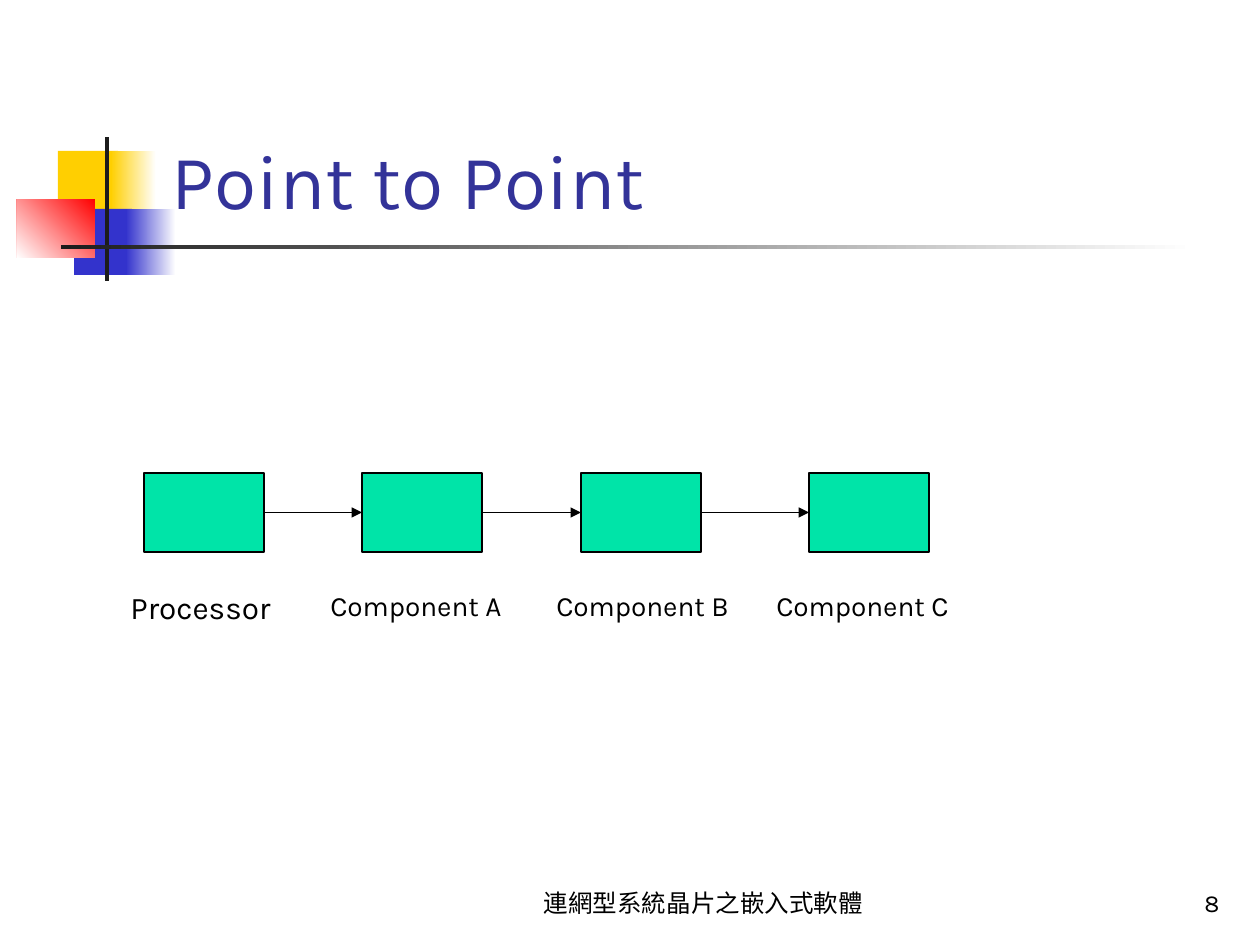
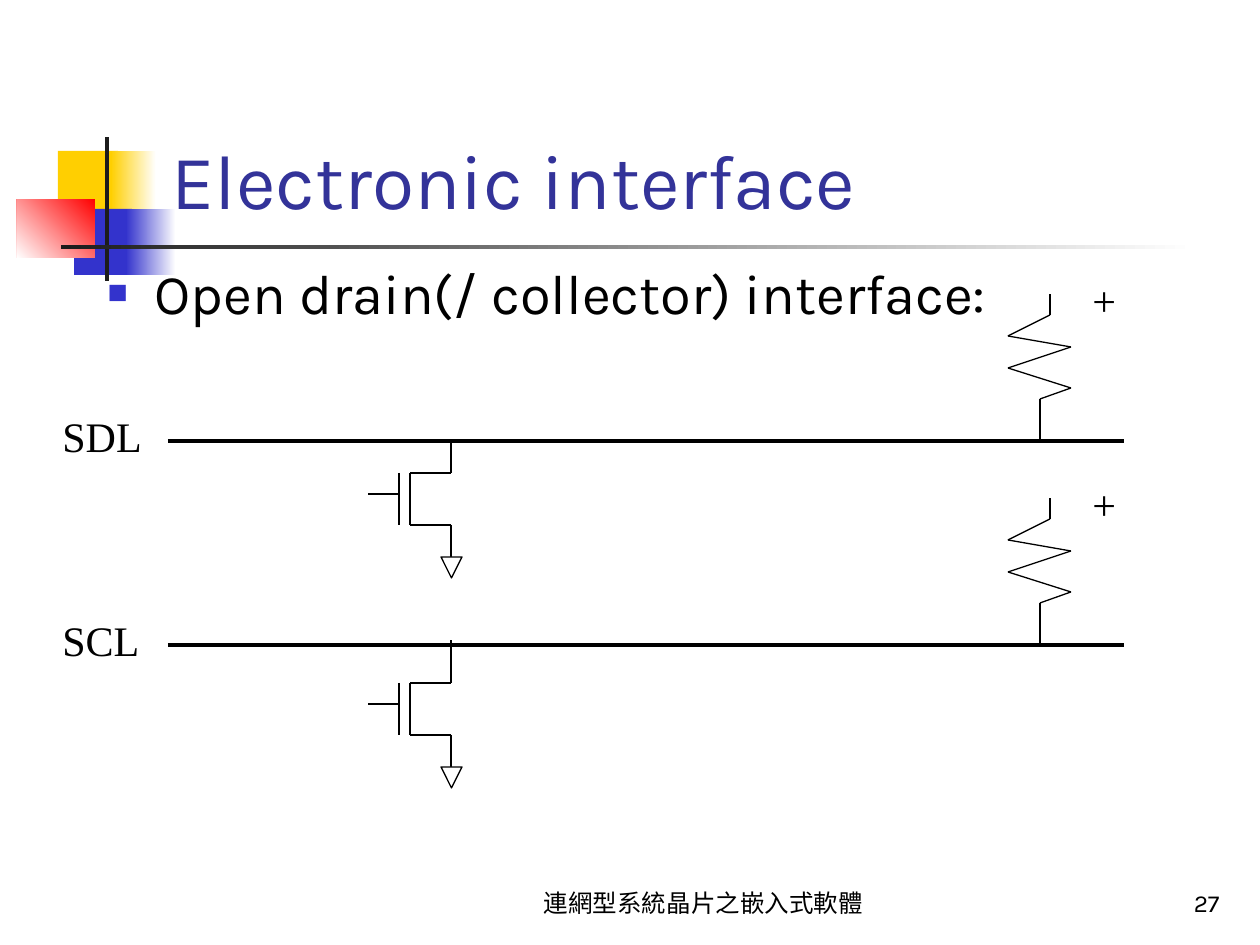
import pptx
import pptx.util
import pptx.dml.color
import pptx.enum.shapes
import pptx.enum.text
import lxml.etree
from itertools import pairwise

PX = 914400 // 126  # EMU per px
SHAPE = pptx.enum.shapes.MSO_SHAPE
LINE = pptx.enum.shapes.MSO_CONNECTOR.STRAIGHT
ALIGN = pptx.enum.text.PP_ALIGN
ANCHOR = pptx.enum.text.MSO_ANCHOR
A = "{http://schemas.openxmlformats.org/drawingml/2006/main}"
BLACK, WHITE = "000000", "FFFFFF"
YELLOW, BLUE, RED, DARK = "FFCF01", "3333CC", "FF0000", "1C1C1C"
TITLE, GREEN = "333399", "00E4A8"
rgb = pptx.dml.color.RGBColor.from_string


def put_text(sp, box, text, size, font="Karla", color=BLACK, align=ALIGN.LEFT,
             anchor=ANCHOR.TOP, wrap=True):
    sp.left, sp.top, sp.width, sp.height = [v * PX for v in box]
    tf = sp.text_frame
    tf.text = text
    tf.auto_size = pptx.enum.text.MSO_AUTO_SIZE.NONE
    tf.word_wrap = wrap
    tf.vertical_anchor = anchor
    p = tf.paragraphs[0]
    p.alignment = align
    p.space_before = pptx.util.Pt(0)
    f = p.runs[0].font
    f.size, f.name = pptx.util.Pt(size), font
    f.color.rgb = rgb(color)
    return p


def add_line(shapes, start, end, width=0.75):
    c = shapes.add_connector(LINE, *[v * PX for v in (*start, *end)])
    c.line.color.rgb = rgb(BLACK)
    c.line.width = pptx.util.Pt(width)
    lxml.etree.SubElement(c._element.spPr, A + "effectLst")
    return c


prs = pptx.Presentation()
prs.slide_width, prs.slide_height = pptx.util.Inches(10), pptx.util.Inches(7.5)

# Shared decoration: box, colour or gradient pair, gradient angle
decor = [
    ((58, 151, 60, 66), (YELLOW,), 0),
    ((111, 151, 45, 66), (WHITE, YELLOW), 180),
    ((74, 209, 58, 66), (BLUE,), 0),
    ((126, 209, 50, 66), (WHITE, BLUE), 180),
    ((17, 199, 78, 59), (RED, WHITE), 225),
    ((105, 137, 4, 144), (DARK,), 0),
    ((61, 245, 1134, 4), (WHITE, DARK), 180),
]

# Shared frame: decoration, title, footer, page number
slides = []
for layout, title, number in [(5, "Point to Point", "8"),
                              (1, "Electronic interface", "27")]:
    s = prs.slides.add_slide(prs.slide_layouts[layout])
    slides.append(s)
    for box, colors, angle in decor:
        sp = s.shapes.add_shape(SHAPE.RECTANGLE, *[v * PX for v in box])
        sp.shadow.inherit = False
        sp.line.fill.background()
        if len(colors) == 1:
            sp.fill.solid()
            sp.fill.fore_color.rgb = rgb(colors[0])
        else:
            sp.fill.gradient()
            sp.fill.gradient_angle = angle
            for stop, color in zip(sp.fill.gradient_stops, colors):
                stop.color.rgb = rgb(color)
    # Placeholders go in front of the decoration
    for ph in list(s.placeholders):
        s.shapes._spTree.append(ph._element)
    put_text(s.shapes.title, (159, 29, 1074, 202), title, 44,
             color=TITLE, anchor=ANCHOR.BOTTOM)
    for box, text, align in [
            ((504, 861, 399, 63), "連網型系統晶片之嵌入式軟體", ALIGN.CENTER),
            ((970, 861, 262, 63), number, ALIGN.RIGHT)]:
        put_text(s.shapes.add_textbox(0, 0, 0, 0), box, text, 14,
                 align=align, anchor=ANCHOR.BOTTOM)

# Slide 1: chain of components
s = slides[0]
blocks = []
for left, label_left, label_width, label, size in [
        (144, 118, 179, "Processor", 18),
        (362, 318, 213, "Component A", 16),
        (581, 544, 213, "Component B", 16),
        (809, 764, 213, "Component C", 16)]:
    sp = s.shapes.add_shape(SHAPE.RECTANGLE, left * PX, 473 * PX, 120 * PX, 79 * PX)
    sp.shadow.inherit = False
    sp.fill.solid()
    sp.fill.fore_color.rgb = rgb(GREEN)
    sp.line.color.rgb = rgb(BLACK)
    sp.line.width = pptx.util.Pt(0.75)
    blocks.append(sp)
    put_text(s.shapes.add_textbox(0, 0, 0, 0), (label_left, 582, label_width, 50),
             label, size, wrap=False)
for source, target in pairwise(blocks):
    c = add_line(s.shapes, (0, 0), (1, 1))
    c.begin_connect(source, 3)
    c.end_connect(target, 1)
    lxml.etree.SubElement(c.line._get_or_add_ln(), A + "tailEnd", type="triangle")

# Slide 2: bullet
s = slides[1]
p = put_text(s.placeholders[1], (95, 252, 1126, 575),
             "Open drain(/ collector) interface:", 32)
pPr = p._p.get_or_add_pPr()
pPr.set("marL", str(47 * PX))
pPr.set("indent", str(-47 * PX))
lxml.etree.SubElement(lxml.etree.SubElement(pPr, A + "buClr"), A + "srgbClr", val=BLUE)
lxml.etree.SubElement(pPr, A + "buSzPct", val="60000")
lxml.etree.SubElement(pPr, A + "buChar", char="■")

# Slide 2: two buses, each with a pull-up resistor and a transistor
resistor = [(1040, 0), (1040, -42), (1071, -53), (1008, -73),
            (1071, -94), (1008, -105), (1050, -126), (1050, -147)]
drain = [(451, 0), (451, 32), (410, 32), (410, 84), (451, 84), (451, 116)]
gate = [[(399, 32), (399, 84)], [(399, 53), (368, 53)]]
for name, bus_y, transistor_y in [("SDL", 441, 441), ("SCL", 645, 651)]:
    add_line(s.shapes, (168, bus_y), (1124, bus_y), 2.25)
    for text, left, top, width in [(name, 50, bus_y - 37, 104),
                                   ("+", 1080, bus_y - 173, 49)]:
        put_text(s.shapes.add_textbox(0, 0, 0, 0), (left, top, width, 63),
                 text, 24, "Times New Roman", wrap=False)
    for (x1, y1), (x2, y2) in pairwise(resistor):
        add_line(s.shapes, (x1, bus_y + y1), (x2, bus_y + y2))
    transistor = s.shapes.add_group_shape().shapes
    for (x1, y1), (x2, y2) in [*pairwise(drain), *gate]:
        add_line(transistor, (x1, transistor_y + y1), (x2, transistor_y + y2))
    ground = transistor.add_shape(SHAPE.ISOSCELES_TRIANGLE, 441 * PX,
                                  (transistor_y + 116) * PX, 21 * PX, 21 * PX)
    ground._element.spPr.get_or_add_xfrm().set("flipV", "1")
    ground.shadow.inherit = False
    ground.fill.solid()
    ground.fill.fore_color.rgb = rgb(WHITE)
    ground.line.color.rgb = rgb(BLACK)
    ground.line.width = pptx.util.Pt(0.75)
add_line(s.shapes, (451, 672), (451, 640))

prs.save("out.pptx")
